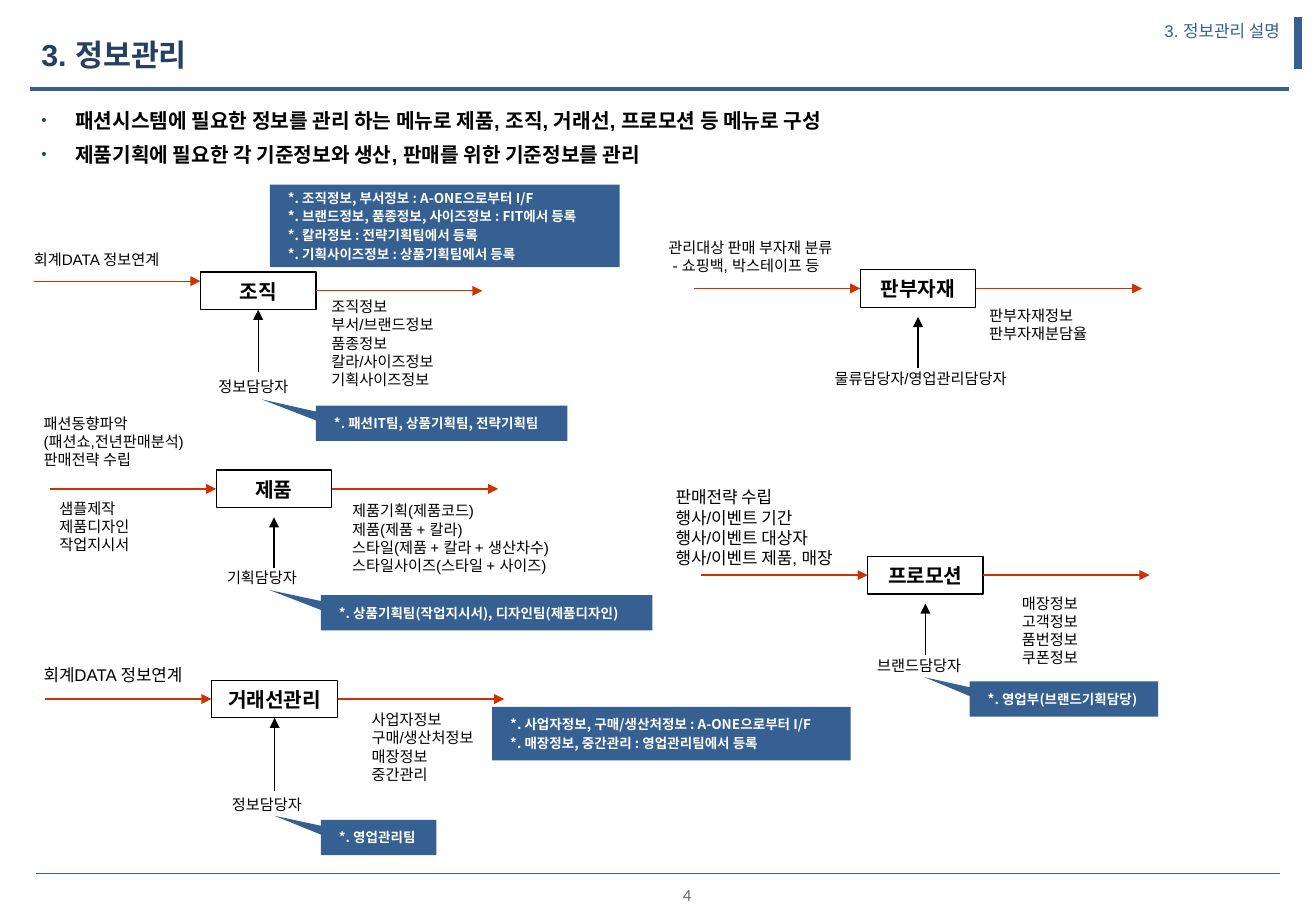
from dataclasses import dataclass

import pptx
import pptx.util
from lxml import etree
from pptx.dml.color import RGBColor
from pptx.enum.shapes import MSO_CONNECTOR, MSO_SHAPE
from pptx.enum.text import MSO_ANCHOR, MSO_AUTO_SIZE, PP_ALIGN
from pptx.oxml.ns import qn
from pptx.util import Inches, Pt


@dataclass(frozen=True)
class Theme:
    blue: str = "376092"
    navy: str = "254061"
    bullet: str = "1F497D"
    arrow: str = "CC3300"
    grey: str = "646464"
    black: str = "000000"
    white: str = "FFFFFF"
    font: str = "Arial"
    number_font: str = "Calibri"
    callout_font: str = "Noto Sans CJK KR"
    title_size: float = 18
    head_size: float = 12
    note_size: float = 9
    large_note: float = 10
    callout_size: float = 8


THEME = Theme()
FLOW_LENGTH = 1.37
STATION_HEIGHT = 0.31


@dataclass
class Note:
    """Text placed relative to the top left corner of its station."""
    box: tuple
    lines: list
    size: float = THEME.note_size
    inset: float = 0.1
    wrap: bool = True


@dataclass
class Callout:
    """Blue label relative to its station; tip is the pointer adjustment."""
    box: tuple
    lines: list
    tip: tuple = ()


@dataclass
class Station:
    name: str
    left: float
    top: float
    role_gap: float
    role_length: float
    notes: list
    callouts: list
    width: float = 0.95
    inflow_drop: float = 0


STATIONS = [
    Station("조직", 1.65, 2.24, 0, 0.51, [
        Note((-1.47, -0.23, 1.49, 0.25), ["회계DATA 정보연계"]),
        Note((0.98, 0.16, 1.23, 0.86), ["조직정보", "부서/브랜드정보", "품종정보",
                                        "칼라/사이즈정보", "기획사이즈정보"]),
        Note((0.05, 0.82, 0.83, 0.25), ["정보담당자"], wrap=False),
    ], [
        Callout((0.95, 1.1, 2.07, 0.29), ["*. 패션IT팀, 상품기획팀, 전략기획팀"], (-0.716, -0.681)),
        Callout((0.57, -0.72, 2.88, 0.68), [
            "*. 조직정보, 부서정보 : A-ONE으로부터 I/F",
            "*. 브랜드정보, 품종정보, 사이즈정보 : FIT에서 등록",
            "*. 칼라정보 : 전략기획팀에서 등록",
            "*. 기획사이즈정보 : 상품기획팀에서 등록"]),
    ], inflow_drop=-0.08),
    Station("제품", 1.78, 3.87, 0.08, 0.42, [
        Note((-1.48, -0.51, 1.54, 0.56),
             ["패션동향파악", "(패션쇼,전년판매분석)", "판매전략 수립"], inset=0.06),
        Note((-1.39, 0.19, 0.83, 0.56), ["샘플제작", "제품디자인", "작업지시서"], wrap=False),
        Note((1.02, 0.21, 2.17, 0.71), [
            "제품기획(제품코드)", "제품(제품 + 칼라)", "스타일(제품 + 칼라 + 생산차수)",
            "스타일사이즈(스타일 + 사이즈)"]),
        Note((-0.01, 0.76, 0.83, 0.25), ["기획담당자"], wrap=False),
    ], [
        Callout((0.86, 1.03, 2.73, 0.29),
                ["*. 상품기획팀(작업지시서), 디자인팀(제품디자인)"], (-0.656, -0.65)),
    ]),
    Station("거래선관리", 1.74, 5.6, 0, 0.6, [
        Note((-1.48, -0.18, 1.49, 0.27), ["회계DATA 정보연계"], THEME.large_note),
        Note((1.22, 0.2, 1.23, 0.71), ["사업자정보", "구매/생산처정보", "매장정보", "중간관리"]),
        Note((0.07, 0.9, 0.83, 0.25), ["정보담당자"], wrap=False),
    ], [
        Callout((0.9, 1.15, 0.95, 0.29), ["*. 영업관리팀"], (-0.902, -0.619)),
        Callout((2.31, 0.22, 2.95, 0.44), [
            "*. 사업자정보, 구매/생산처정보 : A-ONE으로부터 I/F",
            "*. 매장정보, 중간관리 : 영업관리팀에서 등록"]),
    ], width=1.04),
    Station("판부자재", 7.08, 2.22, 0.08, 0.42, [
        Note((-1.64, -0.31, 1.74, 0.4),
             ["관리대상 판매 부자재 분류", " - 쇼핑백, 박스테이프 등"], inset=0.06),
        Note((1, 0.25, 1.12, 0.4), ["판부자재정보", "판부자재분담율"], inset=0.06),
        Note((-0.31, 0.77, 1.77, 0.25), ["물류담당자/영업관리담당자"], wrap=False),
    ], []),
    Station("프로모션", 7.14, 4.58, 0.08, 0.42, [
        Note((-1.64, -0.62, 1.88, 0.77), [
            "판매전략 수립", "행사/이벤트 기간", "행사/이벤트 대상자",
            "행사/이벤트 제품, 매장"], THEME.large_note, inset=0.06),
        Note((1.21, 0.26, 0.85, 0.71), ["매장정보", "고객정보", "품번정보", "쿠폰정보"], inset=0.06),
        Note((-0.02, 0.77, 0.96, 0.25), ["브랜드담당자"], wrap=False),
    ], [
        Callout((0.84, 1.03, 1.55, 0.29), ["*. 영업부(브랜드기획담당)"], (-0.739, -0.619)),
    ]),
]


def write(shape, lines, *, size, color=THEME.black, font=THEME.font, bold=False,
          align=PP_ALIGN.LEFT, anchor=MSO_ANCHOR.TOP, inset=(0.1, 0.05, 0.1, 0.05),
          wrap=True, spacing=None, gap=0, hanging=None, bullet=None):
    frame = shape.text_frame
    frame.auto_size = MSO_AUTO_SIZE.NONE
    frame.word_wrap, frame.vertical_anchor = wrap, anchor
    (frame.margin_left, frame.margin_top,
     frame.margin_right, frame.margin_bottom) = map(Inches, inset)
    for index, line in enumerate(lines):
        para = frame.paragraphs[0] if index == 0 else frame.add_paragraph()
        para.alignment, para.line_spacing = align, spacing
        para.space_before, para.space_after = Pt(gap if index else 0), Pt(0)
        props = para._p.get_or_add_pPr()
        if hanging:
            margin, indent = hanging
            props.set("marL", str(Inches(margin)))
            props.set("indent", str(Inches(indent)))
        if bullet:
            tint = etree.SubElement(props, qn("a:buClr"))
            etree.SubElement(tint, qn("a:srgbClr"), val=bullet)
            etree.SubElement(props, qn("a:buSzPct"), val="75000")
            etree.SubElement(props, qn("a:buChar"), char="•")
        span = para.add_run()
        span.text = line
        span.font.size, span.font.bold, span.font.name = Pt(size), bold, font
        span.font.color.rgb = RGBColor.from_string(color)


def add_text(page, box, lines, **form):
    write(page.shapes.add_textbox(*map(Inches, box)), lines, **form)


def add_block(page, kind, box, fill, line=None):
    shape = page.shapes.add_shape(kind, *map(Inches, box))
    shape.shadow.inherit = False
    shape.fill.solid()
    shape.fill.fore_color.rgb = RGBColor.from_string(fill)
    if line:
        shape.line.color.rgb = RGBColor.from_string(line)
        shape.line.width = Pt(0.75)
    else:
        shape.line.fill.background()
    return shape


def add_line(page, start, end, color, width=0.75, kind=MSO_CONNECTOR.STRAIGHT, arrow=False):
    line = page.shapes.add_connector(kind, *map(Inches, start + end))
    line.line.color.rgb = RGBColor.from_string(color)
    line.line.width = Pt(width)
    if arrow:
        etree.SubElement(line.line._get_or_add_ln(), qn("a:tailEnd"), type="triangle")
    etree.SubElement(line._element.spPr, qn("a:effectLst"))
    return line


def place(shape, box):
    shape.left, shape.top, shape.width, shape.height = map(Inches, box)


def add_frame(page):
    # Rules, title, section label and page number
    add_line(page, (0.3, 7.19), (10.53, 7.19), THEME.blue, 0.25)
    add_line(page, (10.68, 0.57), (10.68, 0.14), THEME.blue, 4.5)
    add_line(page, (0.25, 0.73), (10.61, 0.73), THEME.blue, 2.25)
    place(page.shapes.title, (0.3, 0.3, 7.4, 0.37))
    write(page.shapes.title, ["3. 정보관리"], size=THEME.title_size, color=THEME.navy,
          bold=True, inset=(0.04,) * 4, spacing=0.85)
    add_text(page, (6.87, 0.12, 3.76, 0.47), ["3. 정보관리 설명"], size=THEME.large_note,
             color=THEME.blue, align=PP_ALIGN.RIGHT)
    add_text(page, (5.46, 7.23, 0.39, 0.29), ["4"], size=THEME.large_note,
             color=THEME.grey, font=THEME.number_font, align=PP_ALIGN.CENTER)


def add_summary(page, box):
    body = page.placeholders[1]
    place(body, box)
    write(body, ["패션시스템에 필요한 정보를 관리 하는 메뉴로 제품, 조직, 거래선, 프로모션 등 메뉴로 구성",
                 "제품기획에 필요한 각 기준정보와 생산, 판매를 위한 기준정보를 관리"],
          size=THEME.head_size, bold=True, align=PP_ALIGN.JUSTIFY, spacing=1.4,
          inset=(0.1, 0, 0.1, 0.05), hanging=(0.28, -0.28), bullet=THEME.bullet)


def add_station(page, station):
    left, top, width = station.left, station.top, station.width
    right, bottom = left + width, top + STATION_HEIGHT
    center, middle = left + width / 2, top + STATION_HEIGHT / 2
    block = add_block(page, MSO_SHAPE.RECTANGLE, (left, top, width, STATION_HEIGHT),
                      THEME.white, THEME.black)
    write(block, [station.name], size=THEME.head_size, bold=True,
          align=PP_ALIGN.CENTER, anchor=MSO_ANCHOR.MIDDLE)

    # Arrows in, out and up from the person in charge
    entry = middle + station.inflow_drop
    flow = dict(color=THEME.arrow, kind=MSO_CONNECTOR.ELBOW, arrow=True)
    inflow = add_line(page, (left - FLOW_LENGTH, entry), (left, entry), **flow)
    if not station.inflow_drop:
        inflow.end_connect(block, 1)
    outflow = add_line(page, (right, middle), (right + FLOW_LENGTH, middle), **flow)
    outflow.begin_connect(block, 3)
    tip = bottom + station.role_gap
    role = add_line(page, (center, tip + station.role_length), (center, tip),
                    THEME.black, arrow=True)
    if not station.role_gap:
        role.end_connect(block, 2)

    # Notes and blue labels
    for note in station.notes:
        dx, dy, *extent = note.box
        add_text(page, (left + dx, top + dy, *extent), note.lines, size=note.size,
                 inset=(note.inset, 0.05, note.inset, 0.05), wrap=note.wrap)
    for callout in station.callouts:
        dx, dy, *extent = callout.box
        kind = MSO_SHAPE.RECTANGULAR_CALLOUT if callout.tip else MSO_SHAPE.RECTANGLE
        label = add_block(page, kind, (left + dx, top + dy, *extent), THEME.blue)
        for index, value in enumerate(callout.tip):
            label.adjustments[index] = value
        write(label, callout.lines, size=THEME.callout_size, color=THEME.white, bold=True,
              font=THEME.callout_font, anchor=MSO_ANCHOR.MIDDLE, gap=1.6, hanging=(0.29, -0.24))


def main():
    deck = pptx.Presentation()
    deck.slide_width, deck.slide_height = Inches(10.83), Inches(7.5)
    page = deck.slides.add_slide(deck.slide_layouts[1])
    add_frame(page)
    add_summary(page, (0.24, 0.81, 10.49, 0.62))
    for station in STATIONS:
        add_station(page, station)
    deck.save("out.pptx")


if __name__ == "__main__":
    main()
